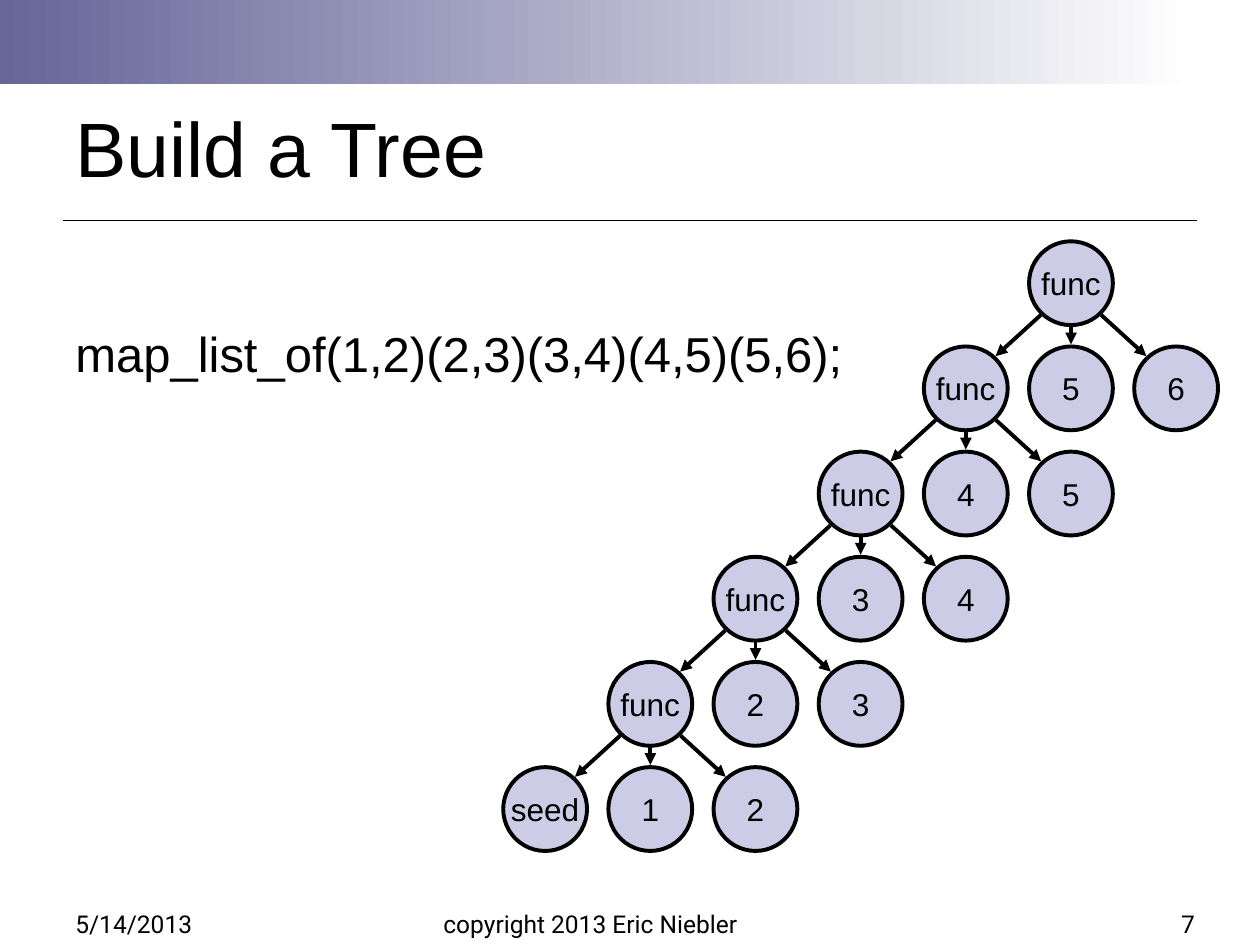
import pptx
import pptx.util
import pptx.dml.color
import pptx.enum.shapes
import pptx.enum.text
from lxml import etree
from pptx.oxml.ns import qn

Cm, Pt = pptx.util.Cm, pptx.util.Pt
RGBColor = pptx.dml.color.RGBColor
SHAPE = pptx.enum.shapes.MSO_SHAPE
STRAIGHT = pptx.enum.shapes.MSO_CONNECTOR.STRAIGHT
ALIGN = pptx.enum.text.PP_ALIGN
ANCHOR = pptx.enum.text.MSO_ANCHOR

BLACK = RGBColor(0x00, 0x00, 0x00)
WHITE = RGBColor(0xFF, 0xFF, 0xFF)
SLATE = RGBColor(0x66, 0x66, 0x99)
LAVENDER = RGBColor(0xCC, 0xCC, 0xE6)

TITLE = {"size": Pt(44), "name": "Arial"}
CODE = {"size": Pt(28), "name": "Arial"}
NODE = {"size": Pt(18), "name": "Arial"}
FOOTER = {"size": Pt(14), "name": "Roboto"}

TEXTS = [
    ("5/14/2013", (1.27, 17.78, 3.38, 1.27), FOOTER, ALIGN.LEFT, ANCHOR.BOTTOM),
    ("7", (20.96, 17.78, 3.38, 1.27), FOOTER, ALIGN.RIGHT, ANCHOR.BOTTOM),
    ("copyright 2013 Eric Niebler", (8.69, 17.78, 8.05, 1.27), FOOTER, ALIGN.LEFT, ANCHOR.BOTTOM),
    ("Build a Tree", (1.27, 1.69, 22.86, 2.54), TITLE, ALIGN.LEFT, ANCHOR.MIDDLE),
    ("map_list_of(1,2)(2,3)(3,4)(4,5)(5,6);", (1.27, 6.4, 16.3, 1.45), CODE, ALIGN.LEFT, ANCHOR.TOP),
]

LEVELS = [
    ("func", "5", "6"),
    ("func", "4", "5"),
    ("func", "3", "4"),
    ("func", "2", "3"),
    ("seed", "1", "2"),
]
ROOT_X, ROOT_Y = 21.59, 5.71
STEP = 2.12
DIAMETER = 1.69
ARROWS = [
    ((-0.61, 0.64), (-1.52, 1.47)),
    ((0, 0.86), (0, 1.23)),
    ((0.61, 0.64), (1.52, 1.47)),
]


def write(sp, text, font, align, anchor):
    tf = sp.text_frame
    tf.vertical_anchor = anchor
    p = tf.paragraphs[0]
    p.alignment = align
    r = p.add_run()
    r.text = text
    for key, value in font.items():
        setattr(r.font, key, value)
    r.font.color.rgb = BLACK


def add_line(s, x1, y1, x2, y2, width, arrow=False):
    cx = s.shapes.add_connector(STRAIGHT, Cm(x1), Cm(y1), Cm(x2), Cm(y2))
    cx.line.color.rgb = BLACK
    cx.line.width = Pt(width)
    if arrow:
        ln = cx._element.spPr.find(qn("a:ln"))
        etree.SubElement(ln, qn("a:tailEnd"), type="triangle")
    etree.SubElement(cx._element.spPr, qn("a:effectLst"))


def add_node(s, text, x, y):
    sp = s.shapes.add_shape(SHAPE.OVAL, Cm(x - DIAMETER / 2), Cm(y - DIAMETER / 2), Cm(DIAMETER), Cm(DIAMETER))
    sp.shadow.inherit = False
    sp.fill.solid()
    sp.fill.fore_color.rgb = LAVENDER
    sp.line.color.rgb = BLACK
    sp.line.width = Pt(2.25)
    sp.text_frame.word_wrap = False
    write(sp, text, NODE, ALIGN.CENTER, ANCHOR.MIDDLE)


def add_banner(s):
    sp = s.shapes.add_shape(SHAPE.RECTANGLE, 0, 0, Cm(24.13), Cm(1.69))
    sp.shadow.inherit = False
    sp.line.fill.background()
    sp.fill.gradient()
    sp.fill.gradient_angle = 0
    for stop, color, position in zip(sp.fill.gradient_stops, (SLATE, WHITE), (0, 1)):
        stop.color.rgb = color
        stop.position = position


def add_tree(s):
    add_node(s, "func", ROOT_X, ROOT_Y)
    for i, labels in enumerate(LEVELS):
        x, y = ROOT_X - i * STEP, ROOT_Y + i * STEP
        for j, label in enumerate(labels):
            add_node(s, label, x + (j - 1) * STEP, y + STEP)
        for (dx1, dy1), (dx2, dy2) in ARROWS:
            add_line(s, x + dx1, y + dy1, x + dx2, y + dy2, 2.25, arrow=True)


def main():
    prs = pptx.Presentation()
    prs.slide_width, prs.slide_height = Cm(25.4), Cm(19.05)
    s = prs.slides.add_slide(prs.slide_layouts[6])
    add_line(s, 1.27, 4.45, 24.13, 4.45, 0.75)
    add_banner(s)
    for text, box, font, align, anchor in TEXTS:
        sp = s.shapes.add_textbox(*map(Cm, box))
        sp.text_frame.word_wrap = True
        write(sp, text, font, align, anchor)
    add_tree(s)
    prs.save("out.pptx")


if __name__ == "__main__":
    main()
